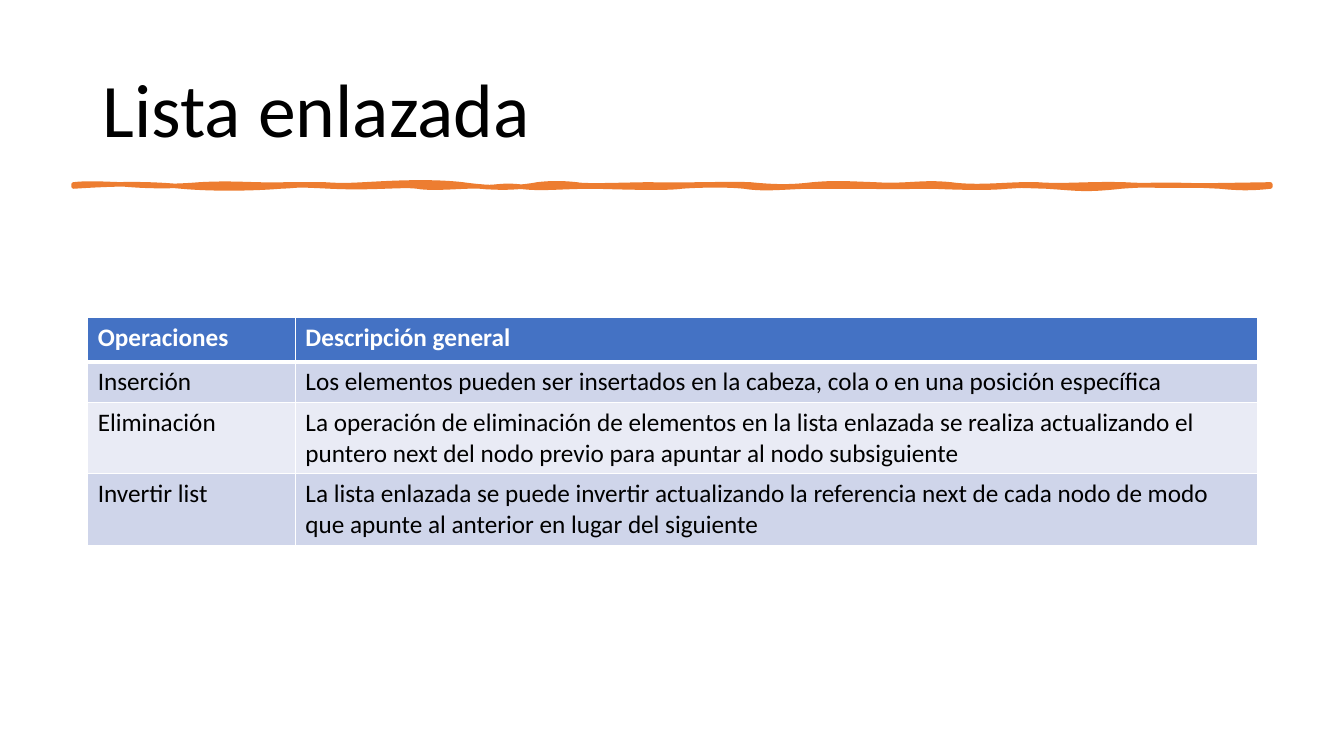
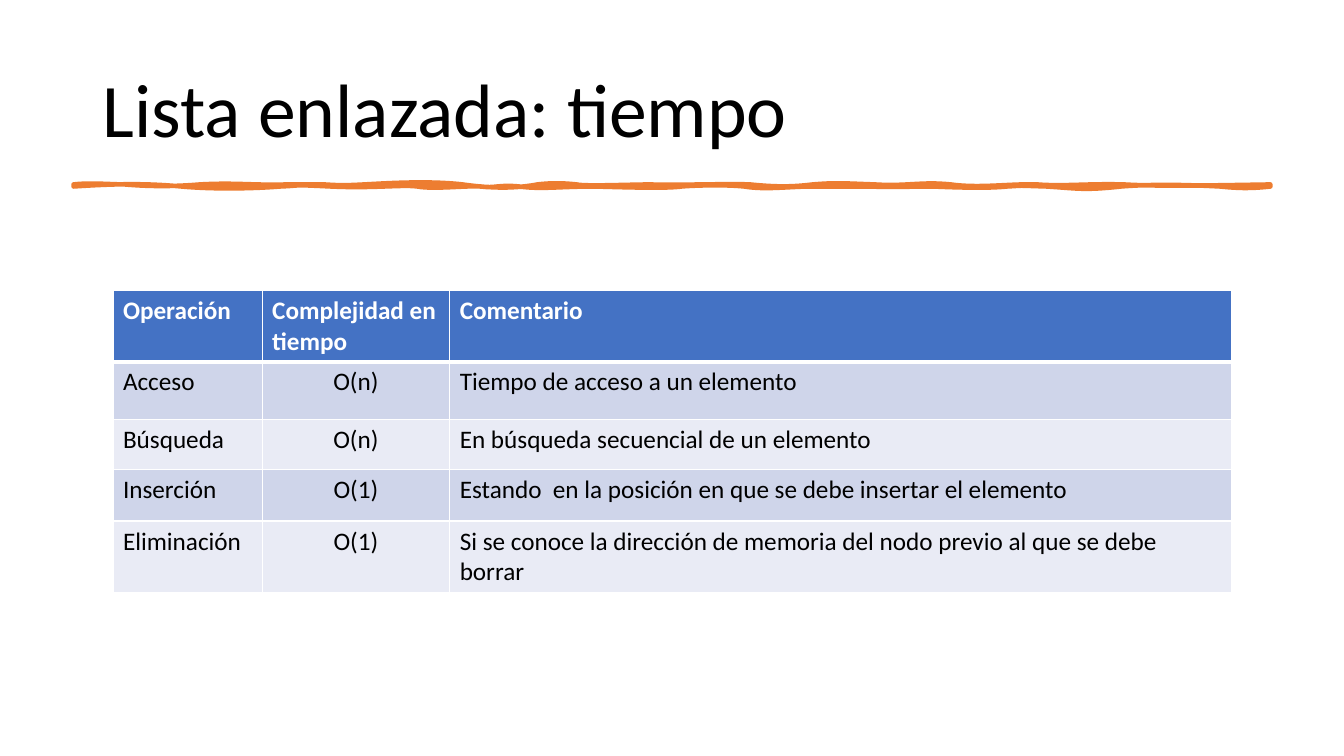
from lxml.etree import SubElement as sub
from pptx import Presentation
from pptx.dml.color import RGBColor
from pptx.enum.text import MSO_ANCHOR as Anchor, PP_ALIGN as Align
from pptx.oxml.ns import qn
from pptx.util import Inches, Pt

FONT = "Calibri"
BLACK = RGBColor(0x00, 0x00, 0x00)
WHITE = RGBColor(0xFF, 0xFF, 0xFF)
BLUE = RGBColor(0x44, 0x72, 0xC4)
ORANGE = RGBColor(0xED, 0x7D, 0x31)
BANDS = RGBColor(0xCF, 0xD5, 0xEA), RGBColor(0xE9, 0xEB, 0xF5)

# Brush stroke: curves as (control x, y, control x, y, end x) along each edge
LEFT, TOP, BASE = 0.73, 1.83, 1.85
UPPER = [
    (0.89, 1.81, 1.11, 1.83, 1.24), (1.36, 1.84, 1.62, 1.86, 1.98),
    (2.34, 1.81, 2.51, 1.84, 2.84), (3.17, 1.83, 3.07, 1.83, 3.22),
    (3.38, 1.84, 3.42, 1.84, 3.61), (3.8, 1.82, 4.24, 1.79, 4.59),
    (4.94, 1.88, 5.17, 1.86, 5.33), (5.49, 1.81, 5.63, 1.82, 5.72),
    (5.81, 1.85, 6.25, 1.83, 6.46), (6.67, 1.84, 7.23, 1.82, 7.44),
    (7.65, 1.85, 7.82, 1.86, 8.06), (8.3, 1.81, 8.38, 1.82, 8.68),
    (8.99, 1.85, 9.14, 1.8, 9.43), (9.72, 1.87, 10.02, 1.82, 10.29),
    (10.55, 1.85, 10.78, 1.82, 11.15), (11.51, 1.85, 11.99, 1.84, 12.6),
]
LOWER = [
    (12.6, 1.84, 12.6, 1.84, 12.6), (12.42, 1.87, 12.3, 1.87, 12.1),
    (11.9, 1.84, 11.49, 1.82, 11.12), (10.75, 1.89, 10.7, 1.87, 10.38),
    (10.05, 1.84, 10.18, 1.84, 9.99), (9.8, 1.87, 9.48, 1.86, 9.25),
    (9.02, 1.85, 8.84, 1.86, 8.63), (8.41, 1.85, 8.28, 1.85, 8),
    (7.73, 1.86, 7.57, 1.88, 7.38), (7.19, 1.83, 6.88, 1.84, 6.76),
    (6.63, 1.87, 6.24, 1.86, 5.9), (5.55, 1.85, 5.37, 1.88, 5.15),
    (4.94, 1.83, 4.91, 1.87, 4.77), (4.63, 1.84, 4.3, 1.88, 4.14),
    (3.99, 1.83, 3.71, 1.87, 3.28), (2.86, 1.83, 3.03, 1.84, 2.78),
    (2.53, 1.87, 2.13, 1.88, 1.8), (1.47, 1.82, 1.18, 1.82, LEFT),
]

USES = [
    ("Operaciones", "Descripción general"),
    ("Inserción", "Los elementos pueden ser insertados en la cabeza, cola "
     "o en una posición específica"),
    ("Eliminación", "La operación de eliminación de elementos en la lista "
     "enlazada se realiza actualizando el puntero next del nodo previo para "
     "apuntar al nodo subsiguiente"),
    ("Invertir list", "La lista enlazada se puede invertir actualizando la "
     "referencia next de cada nodo de modo que apunte al anterior en lugar "
     "del siguiente"),
]
TIMES = [
    ("Operación", "Complejidad en tiempo", "Comentario"),
    ("Acceso", "O(n)", "Tiempo de acceso a un elemento"),
    ("Búsqueda", "O(n)", "En búsqueda secuencial de un elemento"),
    ("Inserción", "O(1)",
     "Estando  en la posición en que se debe insertar el elemento"),
    ("Eliminación", "O(1)", "Si se conoce la dirección de memoria del nodo "
     "previo al que se debe borrar"),
]


def style(para, size, color, bold=False):
    for run in para.runs:
        font = run.font
        font.name, font.size, font.bold = FONT, Pt(size), bold
        font.color.rgb = color


def add_title(slide, text):
    box = slide.shapes.add_textbox(
        Inches(0.92), Inches(0.4), Inches(11.5), Inches(1.45))
    frame = box.text_frame
    frame.word_wrap = True
    frame.vertical_anchor = Anchor.MIDDLE
    frame.text = text
    para = frame.paragraphs[0]
    para.line_spacing = 0.9
    style(para, 54, BLACK)


def bend(shape, curves):
    """Turn each straight segment of a freeform into a cubic curve."""
    lines = list(shape._element.iter(qn("a:lnTo")))
    for line, (ax, ay, bx, by, _) in zip(lines, curves):
        line.tag = qn("a:cubicBezTo")
        for spot, (x, y) in enumerate(((ax, ay), (bx, by))):
            point = sub(line, qn("a:pt"), x=str(Inches(x - LEFT)),
                        y=str(Inches(y - TOP)))
            line.insert(spot, point)


def add_stroke(slide):
    ends = [(Inches(curve[-1]), Inches(level))
            for curves, level in ((UPPER, TOP), (LOWER, BASE))
            for curve in curves]
    pen = slide.shapes.build_freeform(Inches(LEFT), Inches(TOP))
    pen.add_line_segments(ends, close=True)
    shape = pen.convert_to_shape()
    bend(shape, UPPER + LOWER)
    shape.shadow.inherit = False
    shape.fill.solid()
    shape.fill.fore_color.rgb = ORANGE
    shape.line.color.rgb = ORANGE
    shape.line.width = Pt(3.25)


def add_rules(cell, top, base):
    """Draw white cell borders with the given top and bottom widths."""
    props = cell._tc.get_or_add_tcPr()
    for side, width in zip("LRTB", (1, 1, top, base)):
        line = sub(props, qn(f"a:ln{side}"), w=str(Pt(width)))
        fill = sub(line, qn("a:solidFill"))
        sub(fill, qn("a:srgbClr"), val=str(WHITE))


def add_grid(slide, left, top, widths, heights, rows, center=None):
    table = slide.shapes.add_table(
        len(rows), len(widths), Inches(left), Inches(top),
        Inches(sum(widths)), Inches(sum(heights))).table
    for col, width in zip(table.columns, widths):
        col.width = Inches(width)
    for r, (row, height) in enumerate(zip(rows, heights)):
        table.rows[r].height = Inches(height)
        head = r == 0
        for c, text in enumerate(row):
            cell = table.cell(r, c)
            add_rules(cell, 3 if r == 1 else 1, 3 if head else 1)
            cell.fill.solid()
            cell.fill.fore_color.rgb = BLUE if head else BANDS[(r - 1) % 2]
            cell.text_frame.text = text
            para = cell.text_frame.paragraphs[0]
            if c == center and not head:
                para.alignment = Align.CENTER
            style(para, 18, WHITE if head else BLACK, head)


def add_page(deck, title):
    slide = deck.slides.add_slide(deck.slide_layouts[6])
    add_title(slide, title)
    add_stroke(slide)
    return slide


def main():
    deck = Presentation()
    deck.slide_width, deck.slide_height = Inches(13.33), Inches(7.5)
    add_grid(add_page(deck, "Lista enlazada"), 0.87, 3.15,
             (2.06, 9.54), (0.44, 0.4, 0.71, 0.71), USES)
    add_grid(add_page(deck, "Lista enlazada: tiempo"), 1.12, 2.88,
             (1.48, 1.86, 7.76), (0.71, 0.57, 0.5, 0.51, 0.71), TIMES,
             center=1)
    deck.save("out.pptx")


if __name__ == "__main__":
    main()
